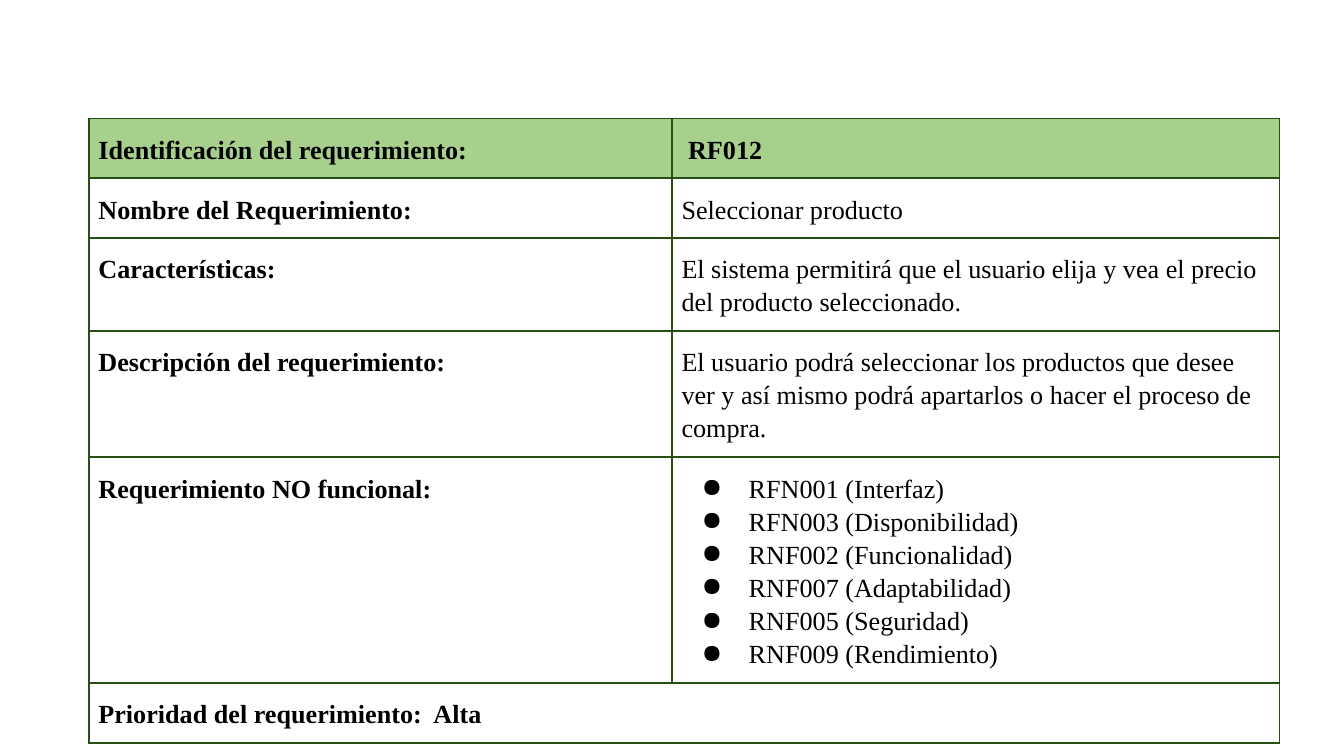
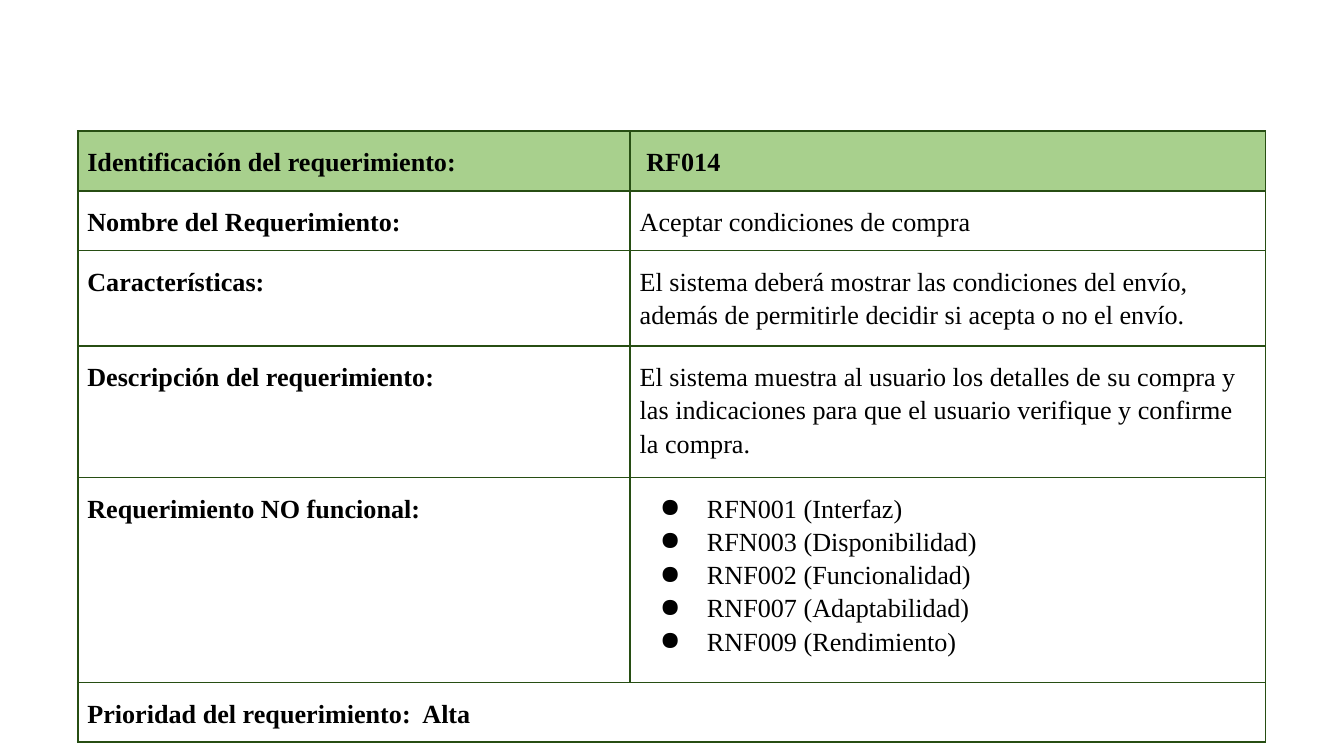
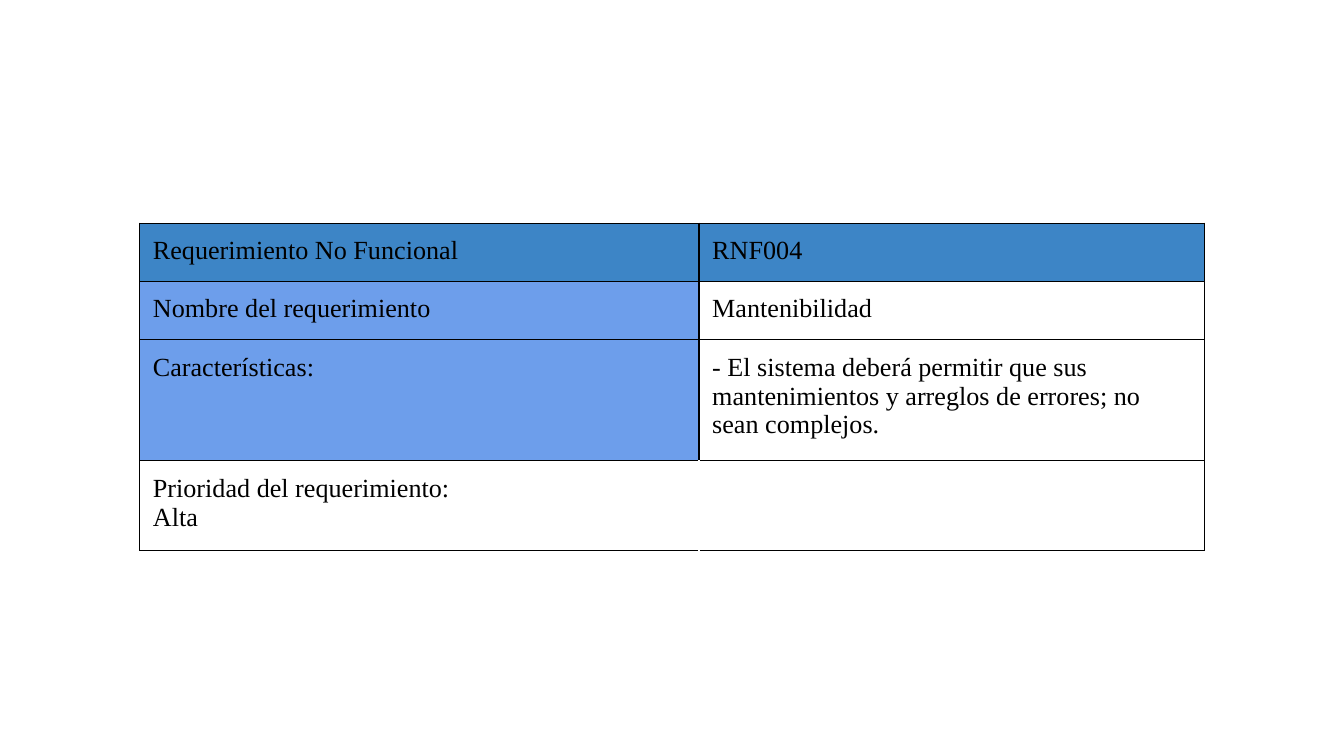
from lxml import etree
from pptx import Presentation
from pptx.dml.color import RGBColor
from pptx.enum import text
from pptx.oxml import ns
from pptx.util import Cm, Pt

FONT, SIZE = "Times New Roman", Pt(14)
BLACK, WHITE = "000000", "FFFFFF"
DARK_GREEN, LIGHT_GREEN = "274E13", "A8D08D"
HEADER_BLUE, LABEL_BLUE = "3D85C6", "6D9EEB"
FUNCTIONAL_LABELS = [
    "Identificación del requerimiento:",
    "Nombre del Requerimiento:",
    "Características:",
    "Descripción del requerimiento:",
    "Requerimiento NO funcional:",
]


def rgb(value):
    return RGBColor.from_string(value)


def sub(parent, tag, **attrs):
    return etree.SubElement(parent, ns.qn(tag), attrs)


def add_run(p, content, bold=False):
    r = p.add_run()
    r.text = content
    r.font.name, r.font.size, r.font.bold = FONT, SIZE, bold
    r.font.color.rgb = rgb(BLACK)


def add_bullet(p):
    pPr = p._p.get_or_add_pPr()
    pPr.set("marL", str(Cm(1.27)))
    pPr.set("indent", str(-Cm(0.89)))
    sub(sub(pPr, "a:buClr"), "a:srgbClr", val=BLACK)
    sub(pPr, "a:buChar", char="●")


def set_borders(cell, color, width, **special):
    """Draw the four sides; special maps a side (L, R, T, B) to (color, width)."""
    tcPr = cell._tc.get_or_add_tcPr()
    for i, side in enumerate("LRTB"):
        side_color, side_width = special.get(side, (color, width))
        ln = etree.Element(ns.qn(f"a:ln{side}"), w=str(Pt(side_width)))
        sub(sub(ln, "a:solidFill"), "a:srgbClr", val=side_color)
        tcPr.insert(i, ln)


def fill_cell(cell, lines, side_margin, fill=None, bold=False, spacing=None, bullets=False):
    """Write each line as a paragraph; a line is a string or a list of (text, bold) runs."""
    cell.margin_left = cell.margin_right = Cm(side_margin)
    cell.margin_top = cell.margin_bottom = Cm(0.25)
    cell.vertical_anchor = text.MSO_ANCHOR.TOP
    if fill:
        cell.fill.solid()
        cell.fill.fore_color.rgb = rgb(fill)
    else:
        cell.fill.background()
    tf = cell.text_frame
    for i, line in enumerate(lines):
        p = tf.paragraphs[0] if i == 0 else tf.add_paragraph()
        if spacing:
            p.line_spacing = spacing
        if bullets:
            add_bullet(p)
        for content, is_bold in [(line, bold)] if isinstance(line, str) else line:
            add_run(p, content, is_bold)


def add_grid(s, left, top, cols, rows):
    """Add a plain table whose size follows from its columns and rows."""
    table = s.shapes.add_table(len(rows), len(cols), Cm(left), Cm(top),
                               Cm(sum(cols)), Cm(sum(rows))).table
    table.first_row = table.horz_banding = False
    for column, width in zip(table.columns, cols):
        column.width = Cm(width)
    for row, height in zip(table.rows, rows):
        row.height = Cm(height)
    return table


def functional_slide(prs, box, code, name, features, description, related):
    s = prs.slides.add_slide(prs.slide_layouts[6])
    table = add_grid(s, *box)
    values = [[[(" ", False), (code, True)]], [name], [features], [description], related]

    # Labels and values
    for i, (label, value) in enumerate(zip(FUNCTIONAL_LABELS, values)):
        fill = LIGHT_GREEN if i == 0 else None
        fill_cell(table.cell(i, 0), [label], 0.18, fill, True, 1.15)
        fill_cell(table.cell(i, 1), value, 0.18, fill, False, 1.15, value is related)

    # Priority across both columns
    last = len(values)
    table.cell(last, 0).merge(table.cell(last, 1))
    fill_cell(table.cell(last, 0), ["Prioridad del requerimiento:  Alta"], 0.18, None, True, 1.15)

    # Borders, thicker under the header
    thick = (DARK_GREEN, 1.5)
    special = {0: {"B": thick}, 1: {"T": thick}}
    for i in range(last + 1):
        for j in range(2):
            set_borders(table.cell(i, j), DARK_GREEN, 1, **special.get(i, {}))


def non_functional_slide(prs, box, code, name, features):
    s = prs.slides.add_slide(prs.slide_layouts[6])
    table = add_grid(s, *box)
    rows = [
        (["Requerimiento No Funcional"], HEADER_BLUE, [code], HEADER_BLUE),
        (["Nombre del requerimiento"], LABEL_BLUE, [name], WHITE),
        (["Características:"], LABEL_BLUE, [features], WHITE),
        (["Prioridad del requerimiento:", "Alta"], WHITE, [], WHITE),
    ]
    hidden = (WHITE, 0.75)
    for i, (label, label_fill, value, value_fill) in enumerate(rows):
        fill_cell(table.cell(i, 0), label, 0.25, label_fill)
        fill_cell(table.cell(i, 1), value, 0.25, value_fill)
        # The priority row shows no line between its cells
        is_last = i == len(rows) - 1
        set_borders(table.cell(i, 0), BLACK, 0.75, **({"R": hidden} if is_last else {}))
        set_borders(table.cell(i, 1), BLACK, 0.75, **({"L": hidden} if is_last else {}))


def main():
    prs = Presentation()
    prs.slide_width, prs.slide_height = Cm(25.4), Cm(14.29)

    functional_slide(
        prs, (1.68, 2.24, [11.02, 11.48], [1.13, 1.13, 1.75, 2.39, 4.27, 1.13]),
        "RF012", "Seleccionar producto",
        "El sistema permitirá que el usuario elija y vea el precio del producto seleccionado.",
        "El usuario podrá seleccionar los productos que desee ver y así mismo podrá "
        "apartarlos o hacer el proceso de compra.",
        ["RFN001 (Interfaz)", "RFN003 (Disponibilidad)", "RNF002 (Funcionalidad)",
         "RNF007 (Adaptabilidad)", "RNF005 (Seguridad)", "RNF009 (Rendimiento)"])

    functional_slide(
        prs, (1.47, 2.48, [10.44, 12.01], [1.13, 1.13, 1.8, 2.49, 3.87, 1.13]),
        "RF014", "Aceptar condiciones de compra",
        "El sistema deberá mostrar las condiciones del envío, además de permitirle "
        "decidir si acepta o no el envío.",
        "El sistema muestra al usuario los detalles de su compra y las indicaciones "
        "para que el usuario verifique y confirme la compra.",
        ["RFN001 (Interfaz)", "RFN003 (Disponibilidad)", "RNF002 (Funcionalidad)",
         "RNF007 (Adaptabilidad)", "RNF009 (Rendimiento)"])

    non_functional_slide(
        prs, (2.64, 4.22, [10.57, 9.55], [1.1, 1.1, 2.29, 1.7]),
        "RNF004", "Mantenibilidad",
        "- El sistema deberá permitir que sus mantenimientos y arreglos de errores; "
        "no sean complejos.")

    prs.save("out.pptx")


if __name__ == "__main__":
    main()
